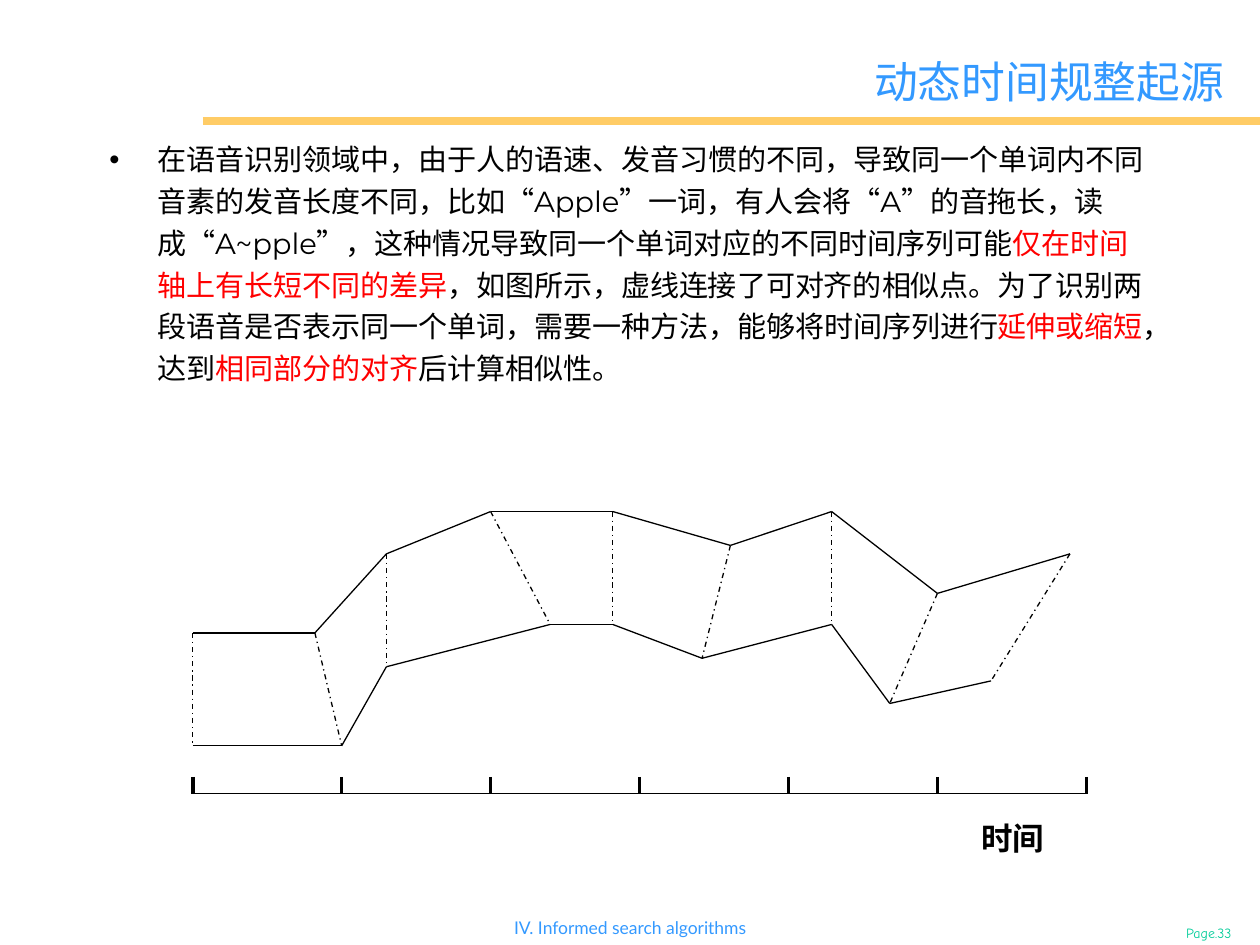
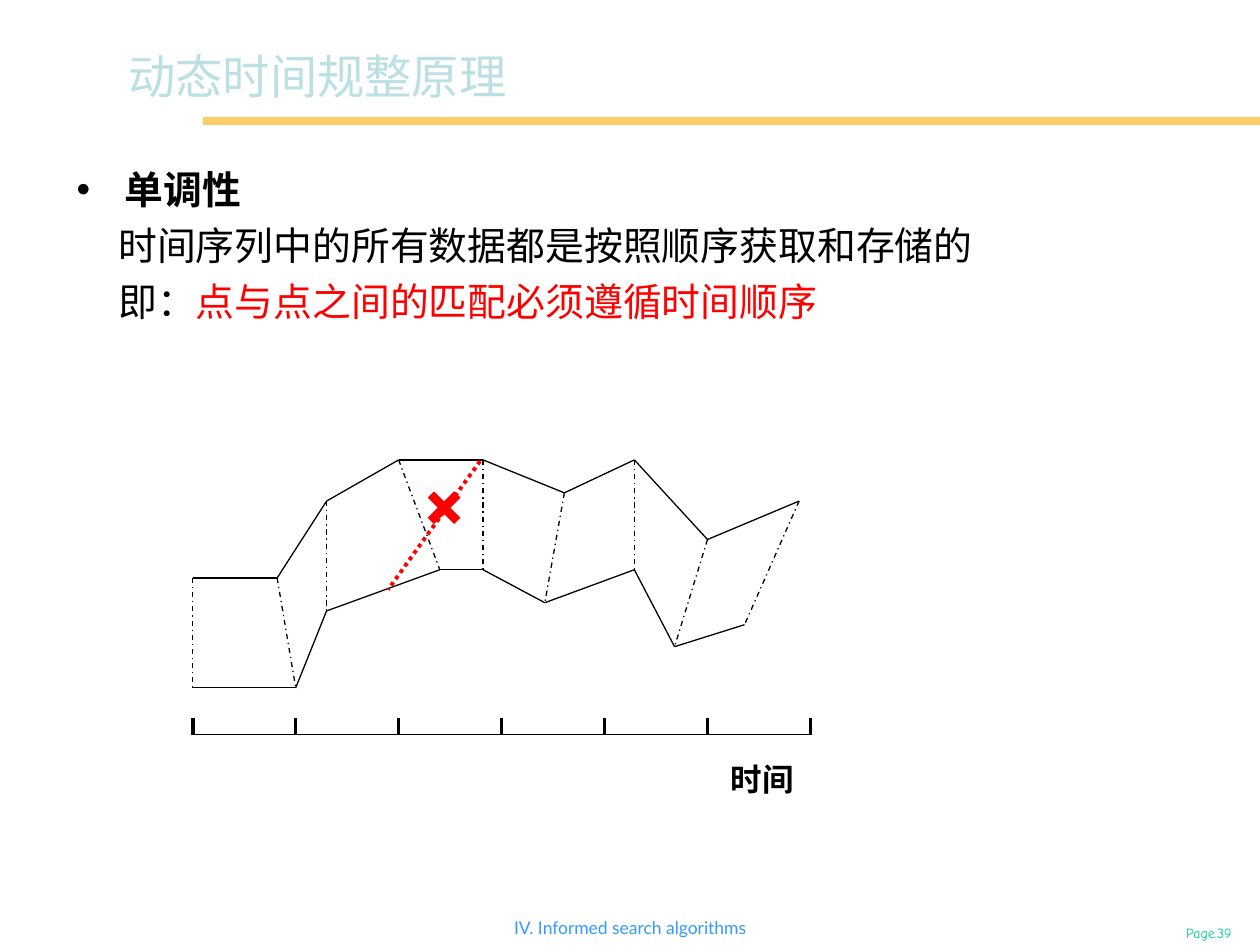
from dataclasses import dataclass
from itertools import pairwise
from typing import NamedTuple

from lxml import etree
from pptx import Presentation
from pptx import util as u
from pptx.dml.color import RGBColor
from pptx.enum import dml, text
from pptx.enum.shapes import MSO_CONNECTOR
from pptx.oxml.ns import qn

# The slide is a grid of 100 columns and 75 rows; every cell is square.
COLUMNS, ROWS = 100, 75
CELL = u.Inches(10) // COLUMNS

BLACK, RED = "000000", "FF0000"
BLUE, PALE_BLUE, GREEN, GOLD = "3399FF", "BBE0E3", "00CC99", "FFCC66"
BODY_FONT, FOOTER_FONT, PAGE_FONT, LABEL_FONT = "Montserrat", "Lato", "Comic Neue", "Arial"


class Point(NamedTuple):
    column: float
    row: float


class Area(NamedTuple):
    column: float
    row: float
    width: float
    height: float


class Span(NamedTuple):
    words: str
    color: str = BLACK


@dataclass(frozen=True)
class Style:
    size: float
    font: str = BODY_FONT
    bold: bool = False
    align: text.PP_ALIGN = text.PP_ALIGN.LEFT
    spacing: float = 1.0
    left: float = 0
    bullet: bool = False


@dataclass(frozen=True)
class Paragraph:
    style: Style
    spans: tuple[Span, ...]


@dataclass(frozen=True)
class Stroke:
    color: str = BLACK
    width: float = 0.75
    dash: dml.MSO_LINE | None = None


@dataclass(frozen=True)
class Plot:
    """Place of the two series: tick spacing and height in cells."""
    origin: Point
    tick_gap: float
    height: float
    label_column: float

    def place(self, tick: float, depth: float) -> Point:
        return Point(self.origin.column + tick * self.tick_gap,
                     self.origin.row + depth * self.height)


THIN = Stroke()
TICK = Stroke(width=2)
MATCH = Stroke(dash=dml.MSO_LINE.DASH_DOT)
WRONG_MATCH = Stroke(RED, 2.25, dml.MSO_LINE.ROUND_DOT)
TITLE_BAND = Stroke(GOLD, 4.5)

# Series points as (position in ticks, share of the plot's height).
UPPER_SERIES = ((0, 0.43), (0.82, 0.43), (1.3, 0.15), (2, 0), (2.82, 0),
                (3.61, 0.12), (4.29, 0), (5, 0.29), (5.89, 0.15))
LOWER_SERIES = ((0, 0.83), (1, 0.83), (1.3, 0.55), (2.4, 0.4), (2.82, 0.4),
                (3.42, 0.52), (4.29, 0.4), (4.68, 0.68), (5.36, 0.6))
TICK_COUNT = 7
TICK_TOP = 0.94

CENTER = text.PP_ALIGN.CENTER
PAGE_STYLE = Style(8, PAGE_FONT, align=CENTER)
FOOTER_STYLE = Style(10, FOOTER_FONT, align=CENTER)
LABEL_STYLE = Style(18, LABEL_FONT, bold=True, spacing=1.4)


def color_of(hex_color: str) -> RGBColor:
    return RGBColor.from_string(hex_color)


def cells(count: float) -> int:
    return round(count * CELL)


def add_bullet(para) -> None:
    properties = para._p.get_or_add_pPr()
    properties.set("indent", str(-cells(3.8)))
    color = etree.SubElement(properties, qn("a:buClr"))
    etree.SubElement(color, qn("a:srgbClr"), val=BLACK)
    etree.SubElement(properties, qn("a:buFont"), typeface=LABEL_FONT)
    etree.SubElement(properties, qn("a:buChar"), char="•")


def write_paragraph(para, content: Paragraph) -> None:
    style = content.style
    para.alignment = style.align
    para.line_spacing = style.spacing
    para._p.get_or_add_pPr().set("marL", str(cells(style.left)))
    if style.bullet:
        add_bullet(para)
    for span in content.spans:
        run = para.add_run()
        run.text = span.words
        run.font.size = u.Pt(style.size)
        run.font.name = style.font
        run.font.bold = style.bold
        run.font.color.rgb = color_of(span.color)


def add_text(page, area: Area, *paragraphs: Paragraph, wrap: bool = True,
             anchor: text.MSO_ANCHOR = text.MSO_ANCHOR.TOP) -> None:
    box = page.shapes.add_textbox(*map(cells, area))
    frame = box.text_frame
    frame.word_wrap = wrap
    frame.vertical_anchor = anchor
    for index, content in enumerate(paragraphs):
        para = frame.add_paragraph() if index else frame.paragraphs[0]
        write_paragraph(para, content)


def add_line(page, start: Point, end: Point, stroke: Stroke) -> None:
    line = page.shapes.add_connector(MSO_CONNECTOR.STRAIGHT, *map(cells, (*start, *end)))
    line.line.color.rgb = color_of(stroke.color)
    line.line.width = u.Pt(stroke.width)
    if stroke.dash is not None:
        line.line.dash_style = stroke.dash
    etree.SubElement(line._element.spPr, qn("a:effectLst"))


def add_page(deck, number: int):
    """Add a blank page with the title band and the footers."""
    page = deck.slides.add_slide(deck.slide_layouts[6])
    add_line(page, Point(16.1, 9.6), Point(COLUMNS, 9.6), TITLE_BAND)
    add_text(page, Area(92.3, 72.9, 7.3, 2.4),
             Paragraph(PAGE_STYLE, (Span(f"Page.{number}", GREEN),)))
    add_text(page, Area(38.9, 72.3, 22.2, 2.7),
             Paragraph(FOOTER_STYLE, (Span("IV. Informed search algorithms", BLUE),)), wrap=False)
    return page


def add_plot(page, plot: Plot) -> None:
    """Draw the time axis, both series and the links between matching points."""
    for tick in range(TICK_COUNT):
        add_line(page, plot.place(tick, TICK_TOP), plot.place(tick, 1), TICK)
    add_line(page, plot.place(0, 1), plot.place(TICK_COUNT - 1, 1), THIN)
    for series in (UPPER_SERIES, LOWER_SERIES):
        for start, end in pairwise(series):
            add_line(page, plot.place(*start), plot.place(*end), THIN)
    for upper, lower in zip(UPPER_SERIES, LOWER_SERIES):
        add_line(page, plot.place(*upper), plot.place(*lower), MATCH)
    label_row = plot.place(0, 1).row + 0.3
    add_text(page, Area(plot.label_column, label_row, 7, 5.2),
             Paragraph(LABEL_STYLE, (Span("时间"),)), wrap=False)


def add_cross(page, center: Point) -> None:
    corners = [(1.3, 0.8), (0.5, 0), (1.3, -0.8)]
    outline = []
    for _ in range(4):
        outline += corners
        corners = [(y, -x) for x, y in corners]
    first, *others = [(cells(center.column + x), cells(center.row + y)) for x, y in outline]
    builder = page.shapes.build_freeform(*first)
    builder.add_line_segments(others, close=True)
    cross = builder.convert_to_shape()
    cross.shadow.inherit = False
    cross.fill.solid()
    cross.fill.fore_color.rgb = color_of(RED)
    cross.line.fill.background()


def build_origin_page(deck) -> None:
    page = add_page(deck, 33)
    title = Style(25, align=text.PP_ALIGN.RIGHT, spacing=1.4)
    add_text(page, Area(9.2, 2.8, 88.9, 5.6),
             Paragraph(title, (Span("动态时间规整起源", BLUE),)), anchor=text.MSO_ANCHOR.MIDDLE)
    body = Style(16.6, spacing=1.2, left=3.8, bullet=True)
    add_text(page, Area(7.7, 10.2, 84.8, 20.4), Paragraph(body, (
        Span("在语音识别领域中，由于人的语速、发音习惯的不同，导致同一个单词内不同音素的发音长度不同，"
             "比如“Apple”一词，有人会将“A”的音拖长，读成“A~pple”，"
             "这种情况导致同一个单词对应的不同时间序列可能"),
        Span("仅在时间轴上有长短不同的差异", RED),
        Span("，如图所示，虚线连接了可对齐的相似点。为了识别两段语音是否表示同一个单词，"
             "需要一种方法，能够将时间序列进行"),
        Span("延伸或缩短", RED),
        Span("，达到"),
        Span("相同部分的对齐", RED),
        Span("后计算相似性。"))))
    add_plot(page, Plot(Point(15.3, 40.6), 11.82, 22.4, 76.9))


def build_principle_page(deck) -> None:
    page = add_page(deck, 39)
    add_text(page, Area(9.2, 1.9, 90.8, 6.9),
             Paragraph(Style(27, spacing=1.3), (Span("动态时间规整原理", PALE_BLUE),)))
    heading = Style(22.2, bold=True, spacing=1.2, left=3.8, bullet=True)
    detail = Style(22.2, FOOTER_FONT, spacing=1.2, left=3.3)
    add_text(page, Area(5.1, 11.9, 87.4, 14.1),
             Paragraph(heading, (Span("单调性"),)),
             Paragraph(detail, (Span("时间序列中的所有数据都是按照顺序获取和存储的"),)),
             Paragraph(detail, (Span("即："), Span("点与点之间的匹配必须遵循时间顺序", RED))))
    add_plot(page, Plot(Point(15.3, 36.5), 8.17, 21.8, 57))
    add_line(page, Point(38.1, 36.6), Point(30.8, 46.8), WRONG_MATCH)
    add_cross(page, Point(35.25, 40.3))


def main() -> None:
    deck = Presentation()
    deck.slide_width, deck.slide_height = COLUMNS * CELL, ROWS * CELL
    build_origin_page(deck)
    build_principle_page(deck)
    deck.save("out.pptx")


if __name__ == "__main__":
    main()
